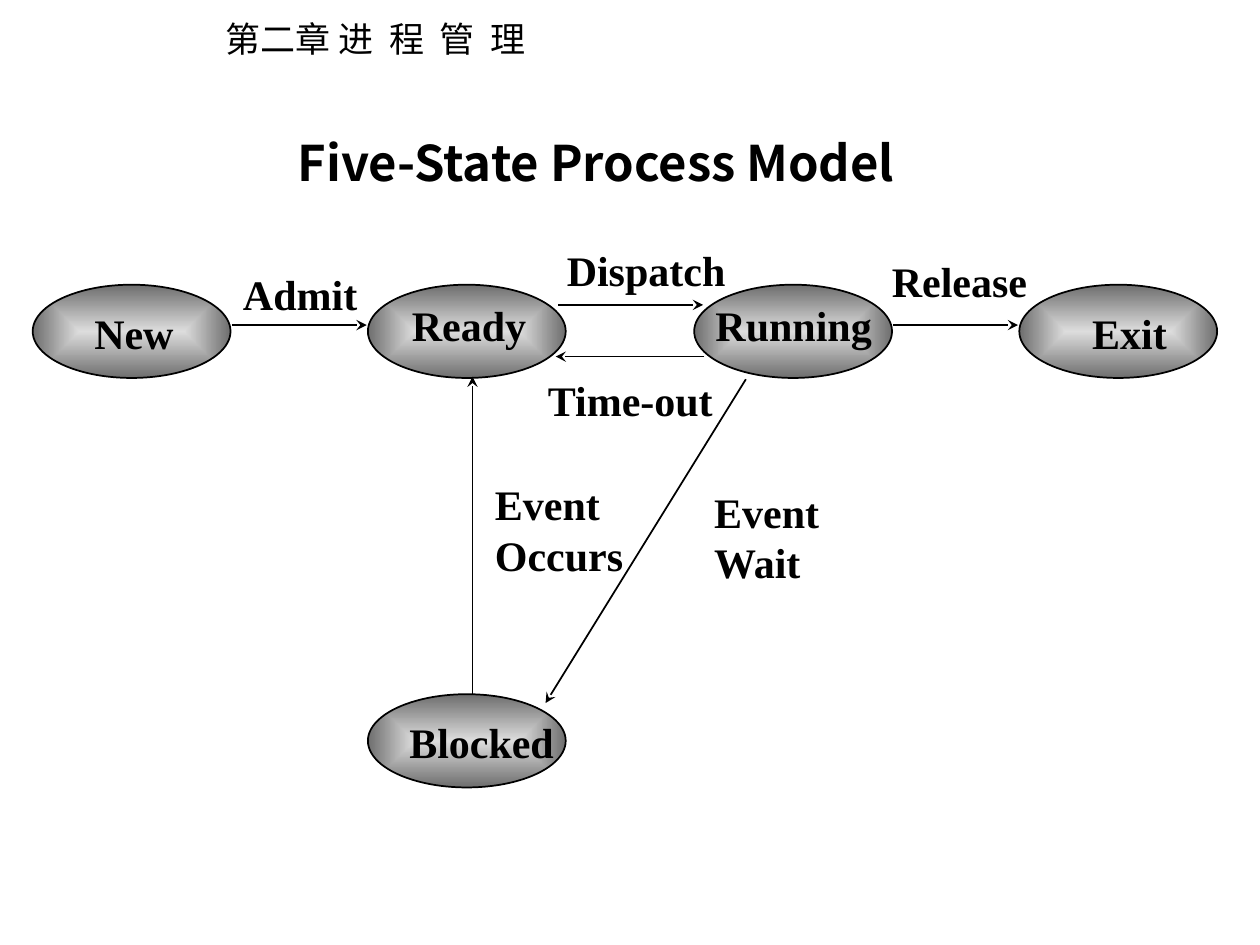
from dataclasses import dataclass

import lxml.etree
import pptx
import pptx.dml.color
import pptx.enum.shapes
import pptx.enum.text
import pptx.oxml.ns
import pptx.shapes.autoshape
import pptx.slide
import pptx.util

BLACK = pptx.dml.color.RGBColor(0x00, 0x00, 0x00)
OVAL_CENTRE = pptx.dml.color.RGBColor(0xDD, 0xDD, 0xDD)
OVAL_EDGE = pptx.dml.color.RGBColor(0x6E, 0x6E, 0x6E)
SANS = "Noto Sans CJK SC"
SERIF = "Times New Roman"

# The slide is a grid of 100 columns by 75 rows of square cells.
COLUMNS, ROWS = 100, 75
CELL = pptx.util.Inches(0.1)
OVAL_WIDTH, OVAL_HEIGHT = 15.7, 7.4
LINE_HEIGHT, LABEL_PADDING = 4, 1
TOP_ROW, BOTTOM_ROW = 22.6, 55.1
SIDE_ARROW_ROW = 25.8


@dataclass(frozen=True)
class Label:
    text: str
    column: float
    row: float
    width: float


@dataclass(frozen=True)
class State:
    column: float
    row: float
    label: Label


@dataclass(frozen=True)
class Transition:
    start: tuple[float, float]
    end: tuple[float, float]
    label: Label


STATES = [
    State(2.6, TOP_ROW, Label("New", 6.5, 23.9, 8.3)),
    State(29.2, TOP_ROW, Label("Ready", 31.7, 23.3, 11.1)),
    State(55.1, TOP_ROW, Label("Running", 55.8, 23.3, 14.4)),
    State(80.9, TOP_ROW, Label("Exit", 85.7, 23.9, 7.9)),
    State(29.2, BOTTOM_ROW, Label("Blocked", 31.5, 56.4, 13.5)),
]

TRANSITIONS = [
    Transition((18.4, SIDE_ARROW_ROW), (29.1, SIDE_ARROW_ROW), Label("Admit", 18.3, 20.8, 11.1)),
    Transition((44.3, 24.2), (55.8, 24.2), Label("Dispatch", 44, 18.9, 14.6)),
    Transition((55.9, 28.3), (44.1, 28.3), Label("Time-out", 42.5, 29.2, 15.1)),
    Transition((70.9, SIDE_ARROW_ROW), (80.8, SIDE_ARROW_ROW), Label("Release", 69.8, 19.8, 12.7)),
    Transition((37.5, BOTTOM_ROW), (37.5, 29.9), Label("Event\nOccurs", 38.3, 37.5, 12.2)),
    Transition((59.2, 30.1), (43.3, 55.8), Label("Event\nWait", 55.7, 38.1, 10.3)),
]


def cells(count: float) -> int:
    return round(count * CELL)


def add_text(
    slide: pptx.slide.Slide,
    label: Label,
    height: float,
    font_name: str = SERIF,
    size: float = 24,
    bold: bool = True,
) -> pptx.shapes.autoshape.Shape:
    """Add an unwrapped text box with one paragraph for each line of the label."""
    shape = slide.shapes.add_textbox(
        cells(label.column), cells(label.row), cells(label.width), cells(height)
    )
    frame = shape.text_frame
    frame.word_wrap = False
    frame.auto_size = pptx.enum.text.MSO_AUTO_SIZE.SHAPE_TO_FIT_TEXT
    for index, line in enumerate(label.text.split("\n")):
        paragraph = frame.add_paragraph() if index else frame.paragraphs[0]
        run = paragraph.add_run()
        run.text = line
        run.font.name = font_name
        run.font.size = pptx.util.Pt(size)
        run.font.bold = bold
        run.font.color.rgb = BLACK
        east_asian = lxml.etree.SubElement(
            run.font._element, pptx.oxml.ns.qn("a:ea")
        )
        east_asian.set("typeface", font_name)
    return shape


def add_label(slide: pptx.slide.Slide, label: Label) -> None:
    line_count = label.text.count("\n") + 1
    add_text(slide, label, line_count * LINE_HEIGHT + LABEL_PADDING)


def add_title(slide: pptx.slide.Slide) -> None:
    shape = add_text(
        slide, Label("Five-State Process Model", 2, 9.1, 90.6), 7.5, SANS, 28
    )
    frame = shape.text_frame
    frame.word_wrap = True
    frame.auto_size = pptx.enum.text.MSO_AUTO_SIZE.NONE
    frame.vertical_anchor = pptx.enum.text.MSO_ANCHOR.MIDDLE
    frame.paragraphs[0].alignment = pptx.enum.text.PP_ALIGN.CENTER


def add_oval(slide: pptx.slide.Slide, state: State) -> None:
    """Add an oval that darkens from its centre to its edge."""
    shape = slide.shapes.add_shape(
        pptx.enum.shapes.MSO_SHAPE.OVAL,
        cells(state.column), cells(state.row), cells(OVAL_WIDTH), cells(OVAL_HEIGHT),
    )
    shape.shadow.inherit = False
    shape.line.color.rgb = BLACK
    shape.line.width = pptx.util.Pt(1)
    shape.fill.gradient()
    for stop, color in zip(shape.fill.gradient_stops, (OVAL_CENTRE, OVAL_EDGE)):
        stop.color.rgb = color
    gradient = shape._element.spPr.find(pptx.oxml.ns.qn("a:gradFill"))
    gradient.remove(gradient.find(pptx.oxml.ns.qn("a:lin")))
    shading = lxml.etree.SubElement(gradient, pptx.oxml.ns.qn("a:path"), path="rect")
    centre = {side: "50000" for side in ("l", "t", "r", "b")}
    lxml.etree.SubElement(shading, pptx.oxml.ns.qn("a:fillToRect"), centre)


def add_arrow(slide: pptx.slide.Slide, transition: Transition) -> None:
    connector = slide.shapes.add_connector(
        pptx.enum.shapes.MSO_CONNECTOR.STRAIGHT,
        *(cells(length) for length in transition.start + transition.end),
    )
    connector.line.color.rgb = BLACK
    connector.line.width = pptx.util.Pt(1)
    line = connector.line._get_or_add_ln()
    lxml.etree.SubElement(line, pptx.oxml.ns.qn("a:tailEnd"), type="stealth")
    lxml.etree.SubElement(connector._element.spPr, pptx.oxml.ns.qn("a:effectLst"))


def main() -> None:
    presentation = pptx.Presentation()
    presentation.slide_width = cells(COLUMNS)
    presentation.slide_height = cells(ROWS)
    slide = presentation.slides.add_slide(presentation.slide_layouts[6])

    chapter = Label("第二章 进  程  管  理", 16.9, 0.9, 26.4)
    add_text(slide, chapter, 4.4, SANS, 20, bold=False)
    add_title(slide)
    for state in STATES:
        add_oval(slide, state)
        add_label(slide, state.label)
    for transition in TRANSITIONS:
        add_arrow(slide, transition)
        add_label(slide, transition.label)

    presentation.save("out.pptx")


if __name__ == "__main__":
    main()
